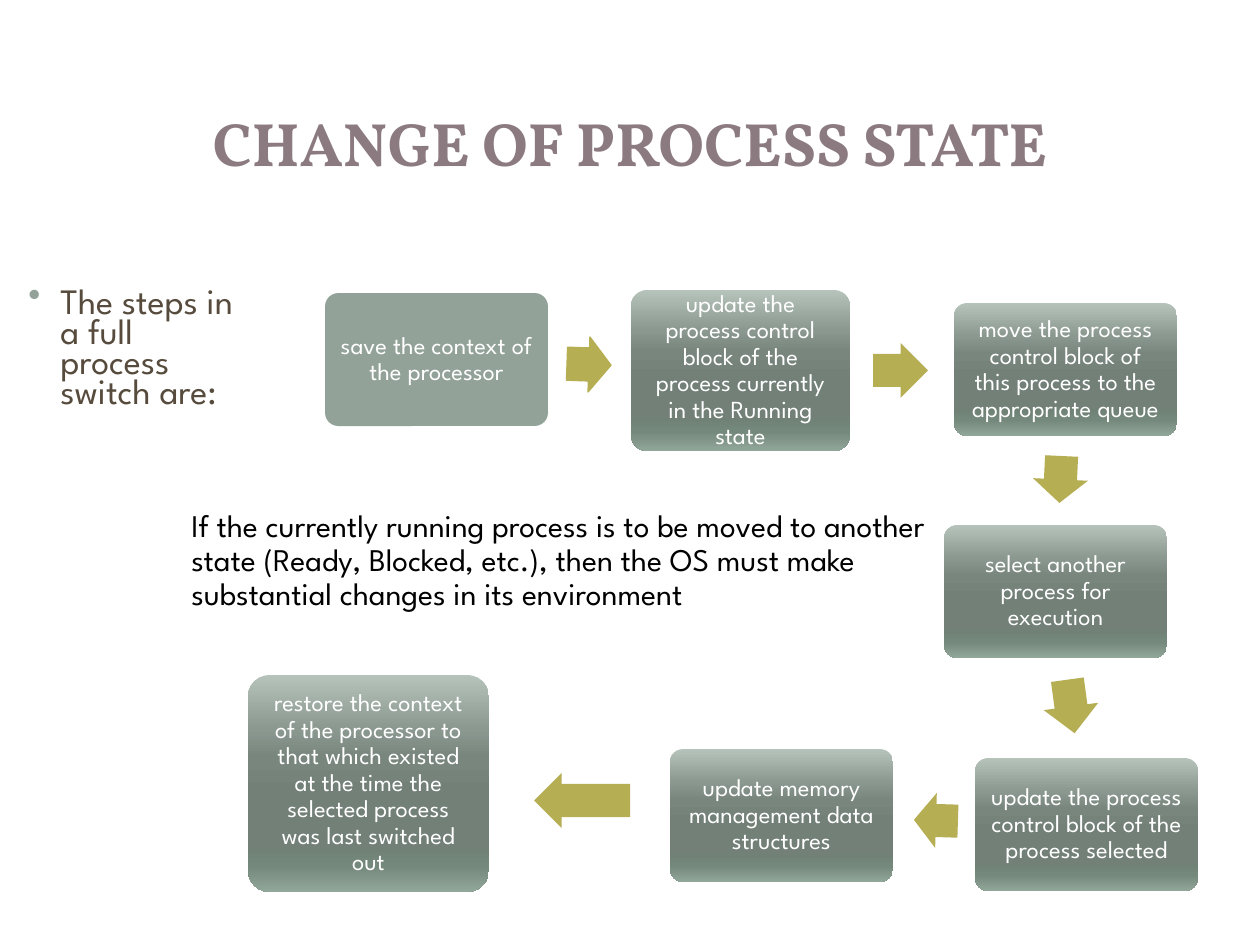
from dataclasses import dataclass

from lxml import etree
from pptx import Presentation
from pptx.dml.color import RGBColor
from pptx.enum.shapes import MSO_SHAPE
from pptx.enum.text import MSO_ANCHOR, PP_ALIGN
from pptx.oxml.ns import qn
from pptx.util import Emu, Pt

PX_PER_INCH = 126
EMU_PER_INCH = 914400

ROUNDED = MSO_SHAPE.ROUNDED_RECTANGLE
ARROW = MSO_SHAPE.RIGHT_ARROW
MIDDLE = MSO_ANCHOR.MIDDLE
CENTER = PP_ALIGN.CENTER
LEFT = PP_ALIGN.LEFT

HEADING_FONT = "Vollkorn"
BODY_FONT = "League Spartan"

MAUVE = RGBColor(0x8C, 0x7A, 0x81)
BROWN = RGBColor(0x56, 0x4B, 0x3C)
SAGE = RGBColor(0x93, 0xA2, 0x99)
OLIVE = RGBColor(0xB5, 0xAE, 0x53)
WHITE = RGBColor(0xFF, 0xFF, 0xFF)
BLACK = RGBColor(0x00, 0x00, 0x00)
STEP_GRADIENT = (
    (0, RGBColor(0xB6, 0xC3, 0xBB)),
    (25, RGBColor(0x8B, 0x98, 0x90)),
    (38, RGBColor(0x79, 0x86, 0x7E)),
    (55, RGBColor(0x72, 0x80, 0x78)),
    (80, RGBColor(0x70, 0x81, 0x76)),
    (88, RGBColor(0x75, 0x88, 0x7C)),
    (100, RGBColor(0x91, 0xA7, 0x9A)),
)


@dataclass(frozen=True)
class Box:
    left: int
    top: int
    width: int
    height: int


@dataclass(frozen=True)
class Step:
    text: str
    box: Box
    gradient: bool = True


@dataclass(frozen=True)
class Arrow:
    box: Box
    rotation: float = 0
    outlined: bool = False


@dataclass(frozen=True)
class TextStyle:
    size: float
    color: RGBColor
    font: str = BODY_FONT
    bold: bool = False
    alignment: PP_ALIGN = LEFT
    line_spacing: float = 1.0
    space_before: int = 0


TITLE_STYLE = TextStyle(35, MAUVE, HEADING_FONT, bold=True, alignment=CENTER)
INTRO_STYLE = TextStyle(20.4, BROWN, line_spacing=0.7, space_before=12)
NOTE_STYLE = TextStyle(18, BLACK, line_spacing=0.9, space_before=12)
STEP_STYLE = TextStyle(14, WHITE, alignment=CENTER, line_spacing=0.9)

STEPS = (
    Step("save the context of the processor", Box(325, 293, 223, 133), gradient=False),
    Step("update the process control block of the process currently in the Running state",
         Box(631, 290, 219, 161)),
    Step("move the process control block of this process to the appropriate queue",
         Box(954, 303, 223, 133)),
    Step("select another process for execution", Box(944, 525, 223, 133)),
    Step("update the process control block of the process selected", Box(975, 758, 223, 133)),
    Step("update memory management data structures", Box(670, 749, 223, 133)),
    Step("restore the context of the processor to that which existed at the time "
         "the selected process was last switched out", Box(248, 675, 241, 217)),
)
ARROWS = (
    Arrow(Box(567, 337, 44, 55), 2, outlined=True),
    Arrow(Box(873, 343, 55, 55)),
    Arrow(Box(1037, 452, 47, 55), 92.7),
    Arrow(Box(1044, 679, 54, 55), 82.3),
    Arrow(Box(914, 793, 44, 55), 181.8),
    Arrow(Box(534, 773, 96, 55), 180),
)


def px(length: int) -> Emu:
    return Emu(round(length * EMU_PER_INCH / PX_PER_INCH))


def place(box: Box) -> tuple:
    return px(box.left), px(box.top), px(box.width), px(box.height)


def write(text_frame, text: str, style: TextStyle):
    text_frame.word_wrap = True
    paragraph = text_frame.paragraphs[0]
    paragraph.text = text
    paragraph.alignment = style.alignment
    paragraph.line_spacing = style.line_spacing
    paragraph.space_before = Pt(style.space_before)
    font = paragraph.font
    font.name, font.size, font.bold = style.font, Pt(style.size), style.bold
    font.color.rgb = style.color
    return paragraph


def add_text(slide, text: str, box: Box, style: TextStyle):
    text_frame = slide.shapes.add_textbox(*place(box)).text_frame
    return text_frame, write(text_frame, text, style)


def add_bullet(paragraph, color: RGBColor, indent: int, hanging: int) -> None:
    properties = paragraph._p.get_or_add_pPr()
    properties.set("marL", str(px(indent)))
    properties.set("indent", str(-px(hanging)))
    bullet_color = etree.Element(qn("a:buClr"))
    etree.SubElement(bullet_color, qn("a:srgbClr"), val=str(color))
    bullet = etree.Element(qn("a:buChar"), char="•")
    position = len(properties.findall(qn("a:lnSpc")) + properties.findall(qn("a:spcBef")))
    properties.insert(position, bullet_color)
    properties.insert(position + 1, bullet)


def fill_gradient(shape) -> None:
    shape.fill.gradient()
    shape.fill.gradient_angle = 270
    stops = shape.element.spPr.find(".//" + qn("a:gsLst"))
    for stop in list(stops):
        stops.remove(stop)
    for percent, color in STEP_GRADIENT:
        stop = etree.SubElement(stops, qn("a:gs"), pos=str(percent * 1000))
        etree.SubElement(stop, qn("a:srgbClr"), val=str(color))


def add_step(slide, step: Step) -> None:
    shape = slide.shapes.add_shape(ROUNDED, *place(step.box))
    shape.adjustments[0] = 0.1
    shape.shadow.inherit = False
    shape.line.fill.background()
    if step.gradient:
        fill_gradient(shape)
    else:
        shape.fill.solid()
        shape.fill.fore_color.rgb = SAGE
    text_frame = shape.text_frame
    text_frame.vertical_anchor = MIDDLE
    text_frame.margin_left = text_frame.margin_right = px(11)
    text_frame.margin_top = text_frame.margin_bottom = px(11)
    write(text_frame, step.text, STEP_STYLE)


def add_arrow(slide, arrow: Arrow) -> None:
    shape = slide.shapes.add_shape(ARROW, *place(arrow.box))
    shape.adjustments[0], shape.adjustments[1] = 0.6, 0.5
    shape.rotation = arrow.rotation
    shape.shadow.inherit = False
    shape.fill.solid()
    shape.fill.fore_color.rgb = OLIVE
    if arrow.outlined:
        shape.line.color.rgb = OLIVE
        shape.line.width = Pt(0.75)
    else:
        shape.line.fill.background()


def main() -> None:
    presentation = Presentation()
    presentation.slide_width, presentation.slide_height = px(1260), px(945)
    slide = presentation.slides.add_slide(presentation.slide_layouts[6])

    title_frame, _ = add_text(
        slide, "CHANGE OF PROCESS STATE", Box(91, 63, 1078, 158), TITLE_STYLE)
    title_frame.vertical_anchor = MIDDLE
    _, intro = add_text(
        slide, "The steps in a full process switch are:", Box(0, 284, 262, 147), INTRO_STYLE)
    add_bullet(intro, SAGE, indent=48, hanging=32)

    for step in STEPS:
        add_step(slide, step)
    for arrow in ARROWS:
        add_arrow(slide, arrow)

    add_text(
        slide,
        "If the currently running process is to be moved to another state (Ready, Blocked, "
        "etc.), then the OS must make substantial changes in its environment",
        Box(179, 504, 777, 116), NOTE_STYLE)
    presentation.save("out.pptx")


if __name__ == "__main__":
    main()
